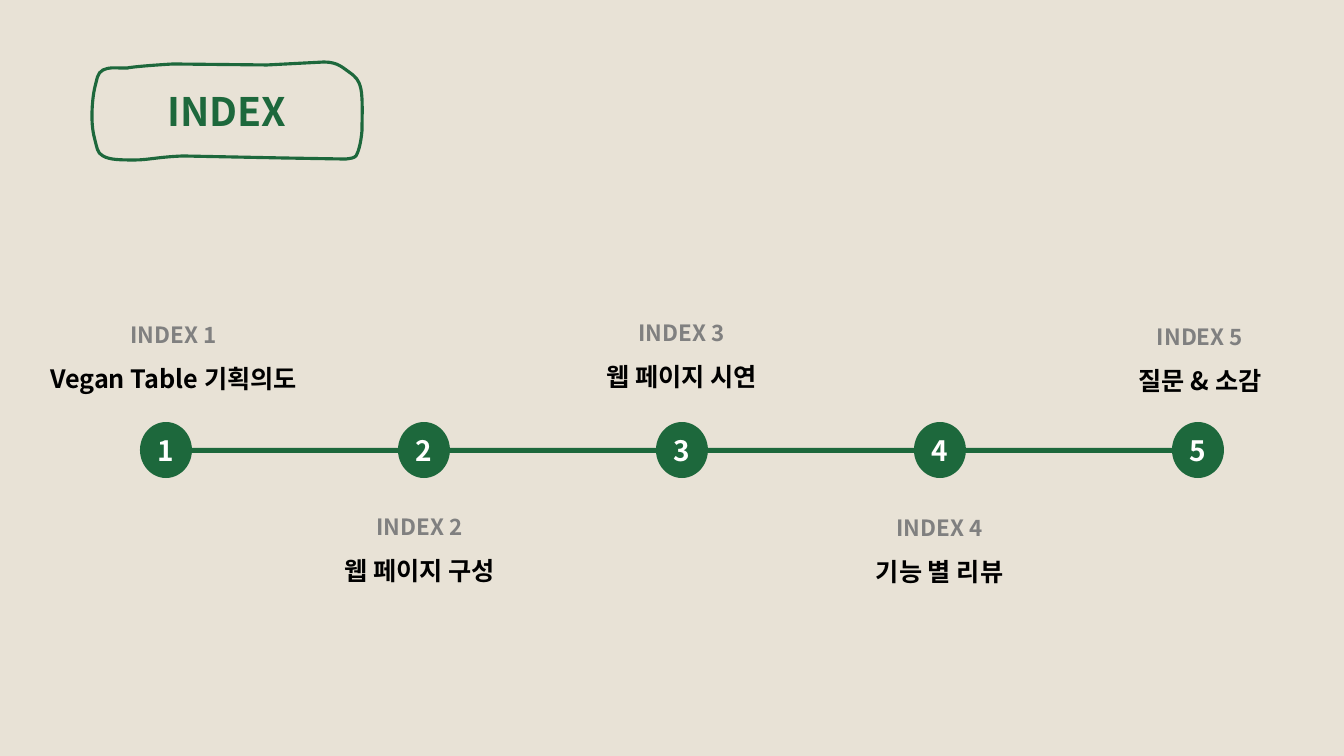
"""Build the INDEX slide: a hand-drawn title frame over a five-step timeline."""
import pptx
import pptx.util
import pptx.dml.color
import pptx.enum.shapes
import pptx.enum.text
import pptx.oxml.ns
from lxml import etree

PX = 914400 / 100.8
GREEN = "1D683C"
FONT = "Noto Sans CJK KR"
KIND = pptx.enum.shapes.MSO_SHAPE
QN = pptx.oxml.ns.qn


def paint(color, code):
    color.rgb = pptx.dml.color.RGBColor.from_string(code)


def write(para, text, size, code):
    para.text = text
    para.alignment = pptx.enum.text.PP_ALIGN.CENTER
    font = para.font
    font.name, font.size, font.bold = FONT, pptx.util.Pt(size), True
    font.fill.solid()
    paint(font.fill.fore_color, code)
    props = para._p.find(".//" + QN("a:defRPr"))
    etree.SubElement(props, QN("a:ea"), typeface=FONT)


deck = pptx.Presentation()
deck.slide_width, deck.slide_height = round(1344 * PX), round(756 * PX)
slide = deck.slides.add_slide(deck.slide_layouts[6])
slide.background.fill.solid()
paint(slide.background.fill.fore_color, "E8E2D6")

start = (127, 68)
curves = [
    [(138, 66), (173, 64), (173, 64)],
    [(267, 65)],
    [(324, 62)],
    [(338, 62), (343, 68), (349, 72)],
    [(356, 77), (359, 80), (361, 89)],
    [(363, 99), (362, 120), (362, 131)],
    [(361, 142), (359, 151), (356, 156)],
    [(352, 160), (340, 159), (340, 159)],
    [(282, 158)],
    [(183, 156)],
    [(158, 157), (148, 160), (135, 160)],
    [(121, 160), (110, 160), (103, 156)],
    [(97, 153), (97, 147), (95, 140)],
    [(93, 133), (92, 125), (92, 116)],
    [(92, 107), (93, 95), (95, 87)],
    [(97, 80), (97, 73), (103, 70)],
    [(109, 67), (116, 68), (120, 68)],
    [(124, 68), (131, 68), (127, 68)],
]
ends = [curve[-1] for curve in curves]
west, north = [min(axis) for axis in zip(*ends)]
build = slide.shapes.build_freeform(*start, scale=PX)
build.add_line_segments(ends, close=True)
frame = build.convert_to_shape()
lines = list(frame._element.iter(QN("a:lnTo")))
for line, curve in zip(lines, curves):
    if len(curve) == 3:
        bend = etree.Element(QN("a:cubicBezTo"))
        for x, y in curve:
            etree.SubElement(bend, QN("a:pt"), x=str(x - west), y=str(y - north))
        line.getparent().replace(line, bend)
frame.shadow.inherit = False
frame.fill.background()
paint(frame.line.color, GREEN)
frame.line.width = pptx.util.Pt(2.25)
frame.text_frame.vertical_anchor = pptx.enum.text.MSO_ANCHOR.MIDDLE
write(frame.text_frame.paragraphs[0], "INDEX", 28, GREEN)

group = slide.shapes.add_group_shape()
marks = [(KIND.RECTANGLE, 155, 448, 1060, 5, "")]
marks += [(KIND.OVAL, 140 + 258 * i, 422, 52, 56, str(i + 1)) for i in range(5)]
for kind, *box, label in marks:
    mark = group.shapes.add_shape(kind, *[round(v * PX) for v in box])
    mark.shadow.inherit = False
    mark.fill.solid()
    paint(mark.fill.fore_color, GREEN)
    mark.line.fill.background()
    if label:
        mark.text_frame.vertical_anchor = pptx.enum.text.MSO_ANCHOR.MIDDLE
        write(mark.text_frame.paragraphs[0], label, 20, "FFFFFF")

topics = [
    ("Vegan Table 기획의도", 3, 303, 341),
    ("웹 페이지 구성", 249, 495, 341),
    ("웹 페이지 시연", 511, 301, 341),
    ("기능 별 리뷰", 769, 496, 341),
    ("질문 & 소감", 1044, 305, 312),
]
for num, (topic, left, top, width) in enumerate(topics, 1):
    note = slide.shapes.add_textbox(*[round(v * PX) for v in (left, top, width, 91)])
    body = note.text_frame
    body.word_wrap = True
    write(body.paragraphs[0], f"INDEX {num}", 16, "808080")
    write(body.add_paragraph(), topic, 18, "000000")
    for para in body.paragraphs:
        para.line_spacing = 1.5

deck.save("out.pptx")
